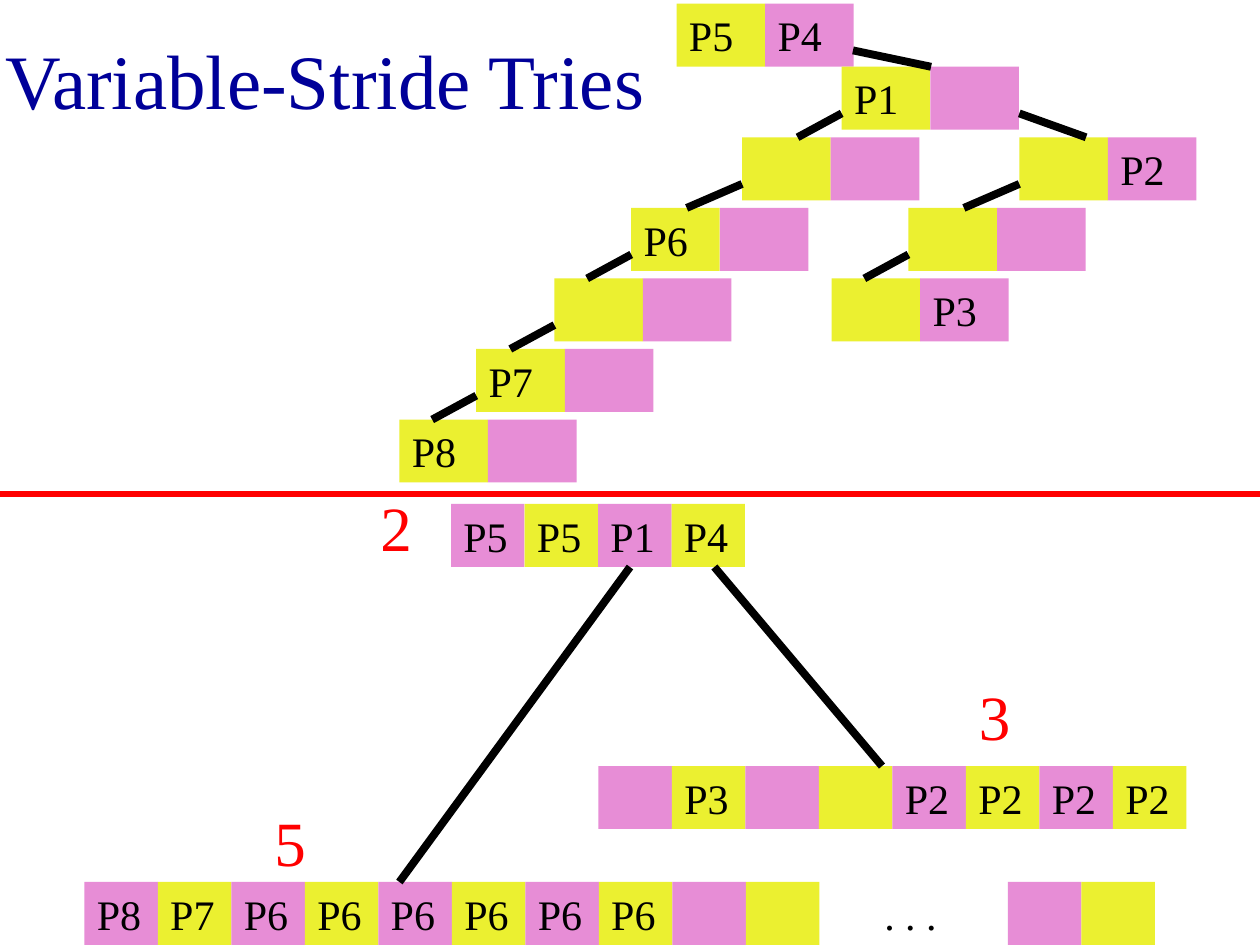
"""Build a slide comparing a binary trie with a variable-stride trie."""
from lxml.etree import SubElement
from pptx import Presentation
from pptx.dml.color import RGBColor
from pptx.enum.shapes import MSO_CONNECTOR as Connector, MSO_SHAPE as Shape
from pptx.enum.text import MSO_ANCHOR as Anchor, PP_ALIGN as Align
from pptx.oxml.ns import qn
from pptx.util import Inches, Pt

COLORS = {"title": "000099", "pink": "E78DD6", "yellow": "EBF030",
          "black": "000000", "red": "FF0000"}
FONT = "Times New Roman"
CELL_HEIGHT = 0.5
BINARY_CELL = 6.33 / 9
STRIDE_CELL = 7 / 12
ROW_TOPS = [0.03] + [0.53 + 0.56 * row for row in range(6)]
BINARY_NODES = [
    (5.37, 0, ["P5", "P4"]), (6.68, 1, ["P1", ""]),
    (8.09, 2, ["", "P2"]), (5.89, 2, ["", ""]),
    (7.21, 3, ["", ""]), (5.01, 3, ["P6", ""]),
    (6.6, 4, ["", "P3"]), (4.4, 4, ["", ""]),
    (3.78, 5, ["P7", ""]), (3.17, 6, ["P8", ""]),
]
BINARY_EDGES = [
    (6.77, 0, 7.39), (8.09, 1, 8.62), (6.68, 1, 6.33),
    (5.89, 2, 5.45), (5.01, 3, 4.66), (4.4, 4, 4.05),
    (3.78, 5, 3.43), (8.09, 2, 7.65), (7.21, 3, 6.86),
]
STRIDE_NODES = [
    (3.58, 4, ["P5", "P5", "P1", "P4"]),
    (0.67, 7, ["P8", "P7"] + ["P6"] * 6 + ["", ""]),
    (4.75, 6.08, ["", "P3", "", ""] + ["P2"] * 4),
    (8, 7, ["", ""]),
]
STRIDE_EDGES = [(5.67, 4.5, 7, 6.08), (5, 4.5, 3.17, 7)]
STRIDE_LABELS = [("2", 2.92, 3.83), ("3", 7.67, 5.33), ("5", 2.08, 6.33)]


def rgb(name):
    return RGBColor.from_string(COLORS[name])


def write_text(shape, text, size, color, align=Align.LEFT, anchor=Anchor.TOP):
    frame = shape.text_frame
    frame.text = text
    frame.word_wrap = True
    frame.vertical_anchor = anchor
    paragraph = frame.paragraphs[0]
    paragraph.alignment = align
    font = paragraph.runs[0].font
    font.name = FONT
    font.size = Pt(size)
    font.color.rgb = rgb(color)


def add_title(slide, text):
    title = slide.shapes.title
    title.left, title.top = Inches(-1.67), Inches(0)
    title.width, title.height = Inches(8.5), Inches(1.25)
    write_text(title, text, 44, "title", Align.CENTER, Anchor.MIDDLE)


def add_node(shapes, left, top, width, labels, fills):
    for index, label in enumerate(labels):
        cell = shapes.add_shape(
            Shape.RECTANGLE, Inches(left + index * width), Inches(top),
            Inches(width), Inches(CELL_HEIGHT))
        cell.shadow.inherit = False
        cell.fill.solid()
        cell.fill.fore_color.rgb = rgb(fills[index % 2])
        cell.line.fill.background()
        if label:
            write_text(cell, label, 24, "black")


def add_line(shapes, start_x, start_y, end_x, end_y, color="black", width=4.5):
    line = shapes.add_connector(
        Connector.STRAIGHT, Inches(start_x), Inches(start_y),
        Inches(end_x), Inches(end_y))
    line.line.color.rgb = rgb(color)
    line.line.width = Pt(width)
    SubElement(line._element.spPr, qn("a:effectLst"))


def add_label(shapes, text, left, top, width, height, size, color):
    box = shapes.add_textbox(
        Inches(left), Inches(top), Inches(width), Inches(height))
    write_text(box, text, size, color)


def add_stride_trie(slide):
    shapes = slide.shapes.add_group_shape().shapes
    for left, top, labels in STRIDE_NODES:
        add_node(shapes, left, top, STRIDE_CELL, labels, ("pink", "yellow"))
    for edge in STRIDE_EDGES:
        add_line(shapes, *edge)
    add_label(shapes, ". . .", 6.92, 7, 1, 0.5, 24, "black")
    for text, left, top in STRIDE_LABELS:
        add_label(shapes, text, left, top, 0.92, 0.7, 36, "red")


def add_binary_trie(slide):
    shapes = slide.shapes.add_group_shape().shapes
    for left, row, labels in BINARY_NODES:
        add_node(shapes, left, ROW_TOPS[row], BINARY_CELL, labels,
                 ("yellow", "pink"))
    for start, row, end in BINARY_EDGES:
        add_line(shapes, start, ROW_TOPS[row] + 0.37, end, ROW_TOPS[row + 1])


def main():
    presentation = Presentation()
    presentation.slide_width = Inches(10)
    presentation.slide_height = Inches(7.5)
    slide = presentation.slides.add_slide(presentation.slide_layouts[5])
    add_title(slide, "Variable-Stride Tries")
    add_stride_trie(slide)
    add_binary_trie(slide)
    add_line(slide.shapes, 0, 3.92, 10, 3.92, "red", 3)
    presentation.save("out.pptx")


if __name__ == "__main__":
    main()
